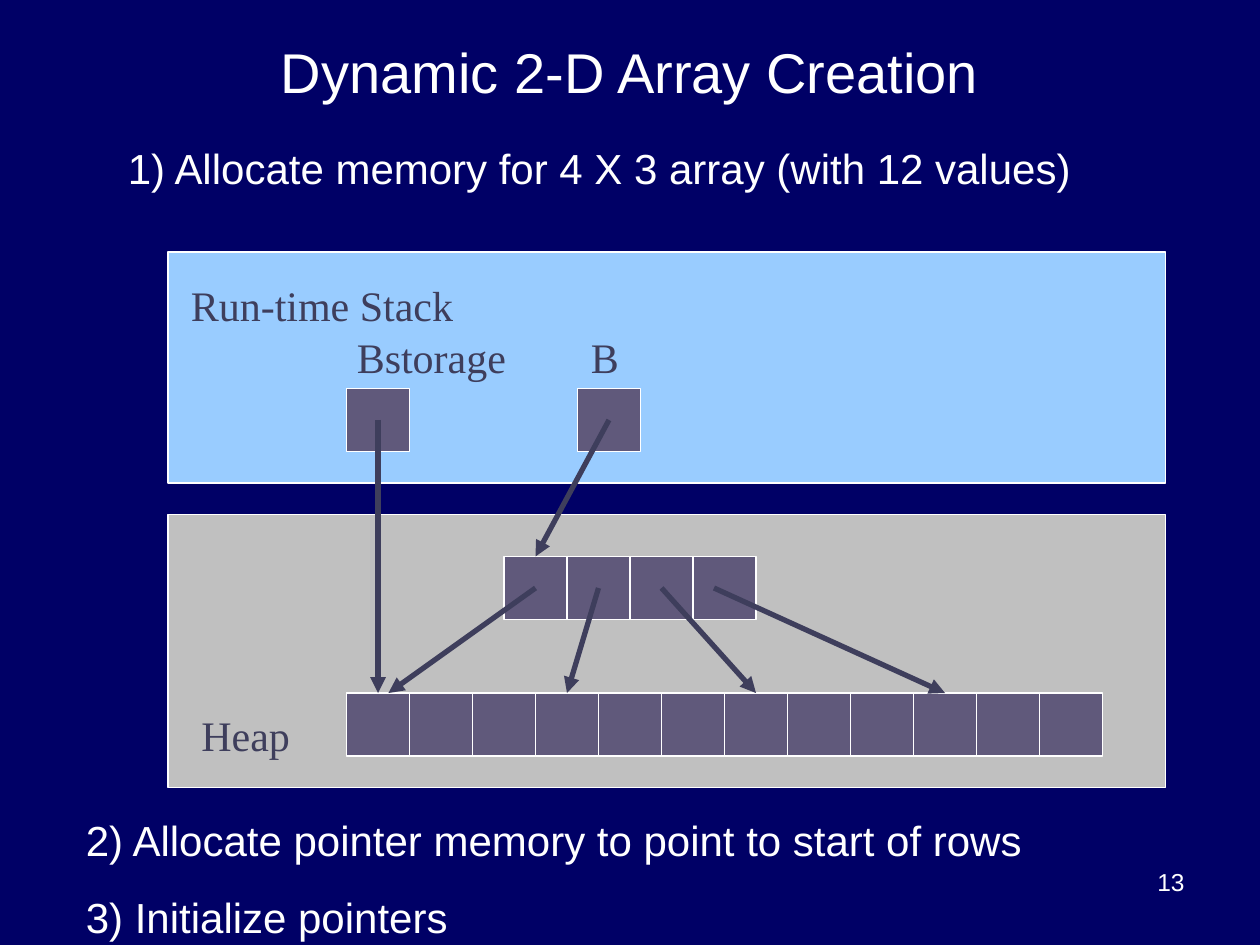
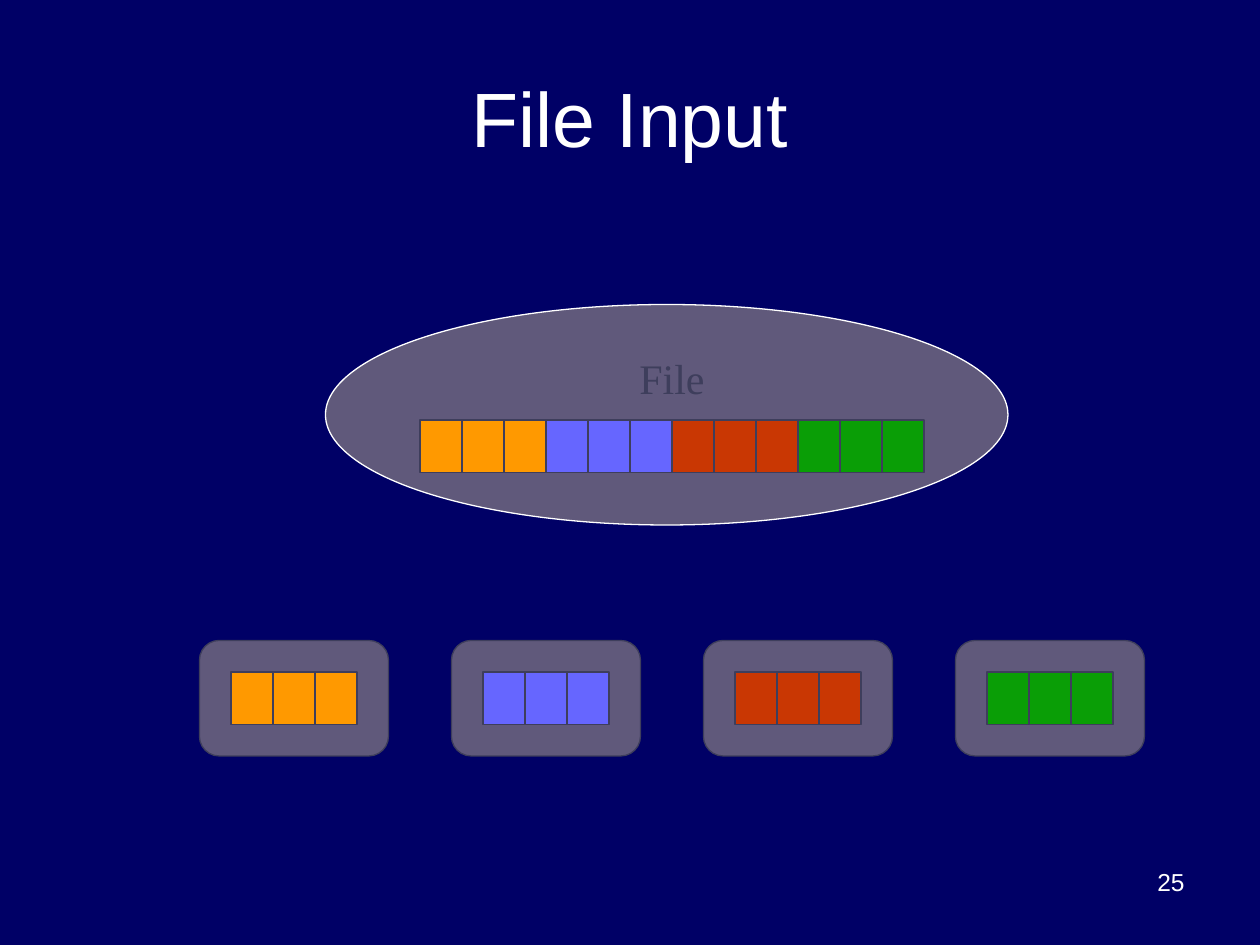
from dataclasses import dataclass
from typing import NamedTuple, Optional

from lxml.etree import SubElement
from pptx import Presentation
from pptx.dml.color import RGBColor as Rgb
from pptx.enum.shapes import MSO_CONNECTOR as Connector, MSO_SHAPE as Shape
from pptx.enum.text import MSO_ANCHOR as Anchor, PP_ALIGN as Align
from pptx.oxml.ns import qn
from pptx.util import Emu, Inches, Pt


@dataclass(frozen=True)
class Theme:
    """Colours, fonts and sizes shared by the slides."""

    background: str = "000066"
    light: str = "FFFFFF"
    dark: str = "3E3E5C"
    cell: str = "60597B"
    stack: str = "99CCFF"
    heap: str = "C0C0C0"
    ranks: tuple[str, ...] = ("FF9900", "6666FF", "C93703", "0A9E06")
    sans: str = "Arial"
    serif: str = "Times New Roman"
    title: int = 44
    small_title: int = 32
    body: int = 24
    number: int = 14
    outline: float = 0.75
    arrow: float = 3
    gap: int = 15


class Area(NamedTuple):
    """A rectangle in grid columns and rows."""

    col: float
    row: float
    cols: float
    rows: float


class Label(NamedTuple):
    """A diagram caption and its area."""

    words: str
    area: Area


class Pointer(NamedTuple):
    """An arrow from one grid point to another, joined to a cell if given."""

    start: tuple[float, float]
    end: tuple[float, float]
    target: Optional[object] = None


THEME = Theme()
WIDTH, HEIGHT = Inches(10), Inches(7.5)
COLUMNS, ROWS = 120, 90
MEMORY_CELL, FILE_CELL = (6, 6), (4, 5)


def across(cols: float) -> Emu:
    """Convert grid columns to a length."""
    return Emu(round(WIDTH * cols / COLUMNS))


def down(rows: float) -> Emu:
    """Convert grid rows to a length."""
    return Emu(round(HEIGHT * rows / ROWS))


def place(area: Area) -> tuple[Emu, Emu, Emu, Emu]:
    """Return left, top, width and height of an area."""
    return across(area.col), down(area.row), across(area.cols), down(area.rows)


def add_text(slide, text: str, area: Area, *, size: int = THEME.body, font: str = THEME.sans,
             color: str = THEME.light, align=Align.LEFT, anchor=Anchor.TOP,
             wrap: bool = True) -> None:
    """Write text, one paragraph a line, in an area."""
    frame = slide.shapes.add_textbox(*place(area)).text_frame
    frame.word_wrap = wrap
    frame.vertical_anchor = anchor
    frame.text = text
    for index, paragraph in enumerate(frame.paragraphs):
        paragraph.alignment = align
        if index:
            paragraph.space_before = Pt(THEME.gap)
        paragraph.font.size = Pt(size)
        paragraph.font.name = font
        paragraph.font.color.rgb = Rgb.from_string(color)


def add_label(slide, label: Label, align=Align.LEFT) -> None:
    """Write a diagram caption."""
    add_text(slide, label.words, label.area, font=THEME.serif, color=THEME.dark,
             align=align, wrap=False)


def add_block(slide, area: Area, fill: str, *, line: str = THEME.light, kind=Shape.RECTANGLE):
    """Draw a filled and outlined shape."""
    block = slide.shapes.add_shape(kind, *place(area))
    block.shadow.inherit = False
    block.fill.solid()
    block.fill.fore_color.rgb = Rgb.from_string(fill)
    block.line.color.rgb = Rgb.from_string(line)
    block.line.width = Pt(THEME.outline)
    return block


def add_cells(slide, col: float, row: float, count: int, cell: tuple[int, int], fill: str,
              line: str = THEME.light) -> list:
    """Draw a run of adjoining cells."""
    return [add_block(slide, Area(col + i * cell[0], row, *cell), fill, line=line)
            for i in range(count)]


def add_pointer(slide, pointer: Pointer) -> None:
    """Draw an arrow, joined to the top of its target."""
    (x1, y1), (x2, y2) = pointer.start, pointer.end
    arrow = slide.shapes.add_connector(Connector.STRAIGHT, across(x1), down(y1),
                                       across(x2), down(y2))
    if pointer.target is not None:
        arrow.end_connect(pointer.target, 0)
    arrow.line.color.rgb = Rgb.from_string(THEME.dark)
    arrow.line.width = Pt(THEME.arrow)
    properties = arrow.element.spPr
    SubElement(properties.find(qn("a:ln")), qn("a:tailEnd"), type="triangle")
    SubElement(properties, qn("a:effectLst"))


def add_page(deck, title: str, number: int, size: int, title_rows: float):
    """Add a slide with its background, title and number."""
    slide = deck.slides.add_slide(deck.slide_layouts[6])
    slide.background.fill.solid()
    slide.background.fill.fore_color.rgb = Rgb.from_string(THEME.background)
    add_text(slide, title, Area(6, 3.6, 108, title_rows), size=size,
             align=Align.CENTER, anchor=Anchor.MIDDLE)
    add_text(slide, str(number), Area(86, 82, 28, 6.2), size=THEME.number, align=Align.RIGHT)
    return slide


def build_array_creation(deck) -> None:
    """Build the slide on allocating a 2-D array."""
    slide = add_page(deck, "Dynamic 2-D Array Creation", 13, THEME.small_title, 6.4)
    add_block(slide, Area(16, 24, 95, 22), THEME.stack)
    add_block(slide, Area(16, 49, 95, 26), THEME.heap)
    for label in (
        Label("Heap", Area(18, 67, 10.8, 6)),
        Label("Run-time Stack", Area(17, 26, 27.4, 6)),
        Label("Bstorage", Area(32.8, 31, 16.6, 6)),
        Label("B", Area(55.1, 31, 5, 6)),
    ):
        add_label(slide, label)
    for variable_col in (33, 55):
        add_cells(slide, variable_col, 37, 1, MEMORY_CELL, THEME.cell)
    values = add_cells(slide, 33, 66, 12, MEMORY_CELL, THEME.cell)
    row_starts = add_cells(slide, 48, 53, 4, MEMORY_CELL, THEME.cell)
    for pointer in (
        Pointer((36, 40), (36, 66), values[0]),
        Pointer((58, 40), (51, 53), row_starts[0]),
        Pointer((51, 56), (37, 66)),
        Pointer((57, 56), (54, 66), values[3]),
        Pointer((63, 56), (72, 66), values[6]),
        Pointer((68, 56), (90, 66), values[9]),
    ):
        add_pointer(slide, pointer)
    add_text(slide, "1) Allocate memory for 4 X 3 array (with 12 values)", Area(11, 13, 107, 6))
    add_text(slide, "2) Allocate pointer memory to point to start of rows\n3) Initialize pointers",
             Area(7, 77, 103, 13.3))


def build_file_input(deck) -> None:
    """Build the slide on sharing out a file."""
    slide = add_page(deck, "File Input", 25, THEME.title, 15)
    add_block(slide, Area(31, 29, 65, 21), THEME.cell, kind=Shape.OVAL)
    add_label(slide, Label("File", Area(59.5, 33, 9, 6)), Align.CENTER)
    for rank, color in enumerate(THEME.ranks):
        add_cells(slide, 40 + 12 * rank, 40, 3, FILE_CELL, color, THEME.dark)
        process = add_block(slide, Area(19 + 24 * rank, 61, 18, 11), THEME.cell,
                            line=THEME.dark, kind=Shape.ROUNDED_RECTANGLE)
        process.adjustments[0] = 0.17
        add_cells(slide, 22 + 24 * rank, 64, 3, FILE_CELL, color, THEME.dark)


def main() -> None:
    """Build and save the slides."""
    deck = Presentation()
    deck.slide_width, deck.slide_height = WIDTH, HEIGHT
    build_array_creation(deck)
    build_file_input(deck)
    deck.save("out.pptx")


if __name__ == "__main__":
    main()
